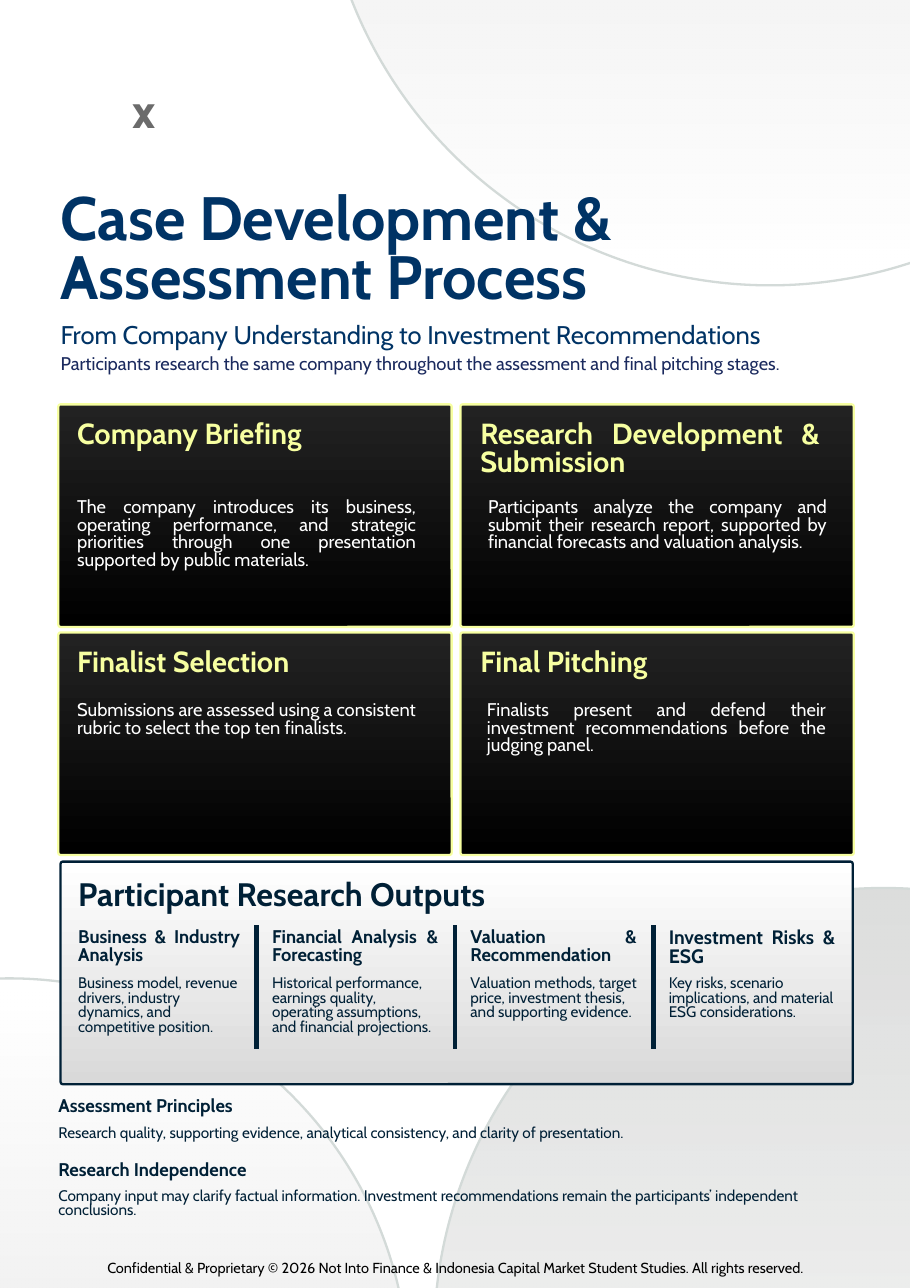
from dataclasses import dataclass

from lxml import etree
from pptx import Presentation
from pptx.dml.color import RGBColor
from pptx.enum.shapes import MSO_CONNECTOR, MSO_SHAPE
from pptx.enum.text import MSO_ANCHOR, MSO_AUTO_SIZE, PP_ALIGN
from pptx.oxml.ns import qn
from pptx.util import Inches, Pt

OVAL, ROUNDED = MSO_SHAPE.OVAL, MSO_SHAPE.ROUNDED_RECTANGLE
STRAIGHT = MSO_CONNECTOR.STRAIGHT
TOP = MSO_ANCHOR.TOP
FIT = MSO_AUTO_SIZE.SHAPE_TO_FIT_TEXT
LEFT, CENTER, JUSTIFY = PP_ALIGN.LEFT, PP_ALIGN.CENTER, PP_ALIGN.JUSTIFY


@dataclass(frozen=True)
class Theme:
    font: str = "Cabin"
    ring: str = "D3DAD8"
    circle: tuple = ("000908", "001614")
    card: tuple = ("222222", "000000")
    panel: tuple = ("FFFFFF", "D9D9D9")
    lime: str = "F7FFA1"
    navy: str = "002036"


T = Theme()

# Text styles: size and line spacing in points, colour, weight, alignment
STYLES = {
    "title": dict(size=40, line=38, color="003365", bold=True, align=LEFT),
    "mark": dict(size=31, line=28.5, color="6B6B6B", bold=True, align=CENTER),
    "subtitle": dict(size=16.7, line=20, color="003365", bold=False, align=LEFT),
    "intro": dict(size=12, line=14.4, color="1B2A5E", bold=False, align=LEFT),
    "card_head": dict(size=19, line=18.1, color=T.lime, bold=True, align=JUSTIFY),
    "card_body": dict(size=12, line=11.4, color="FFFFFF", bold=False, align=JUSTIFY),
    "panel_head": dict(size=21.2, line=20.2, color=T.navy, bold=True, align=JUSTIFY),
    "head": dict(size=12, line=11.4, color=T.navy, bold=True, align=JUSTIFY),
    "large_head": dict(size=12.7, line=12.1, color=T.navy, bold=True, align=JUSTIFY),
    "body": dict(size=10, line=9.5, color=T.navy, bold=False, align=LEFT),
    "footer": dict(size=9.5, line=13.3, color="000000", bold=False, align=CENTER),
}

# Left, top, diameter, opacity at the top and at the bottom in percent
CIRCLES = [
    (2.91, -5.57, 8.16, (14, 0)),
    (-3.54, 8.88, 7.25, (0, 14)),
    (3.94, 8.06, 8.16, (14, 0)),
]

# Heading, body, left of body
CARDS = [
    ("Company Briefing",
     "The company introduces its business, operating performance, and strategic "
     "priorities through one presentation supported by public materials.", 0.7),
    ("Research Development & Submission",
     "Participants analyze the company and submit their research report, supported "
     "by financial forecasts and valuation analysis.", 4.43),
    ("Finalist Selection",
     "Submissions are assessed using a consistent rubric to select the top ten "
     "finalists.", 0.7),
    ("Final Pitching",
     "Finalists present and defend their investment recommendations before the "
     "judging panel.", 4.42),
]

# Left, width, heading style, heading, body
OUTPUTS = [
    (0.71, 1.47, "head", "Business & Industry Analysis",
     "Business model, revenue drivers, industry dynamics, and competitive position."),
    (2.47, 1.51, "head", "Financial Analysis & Forecasting",
     "Historical performance, earnings quality, operating assumptions, and "
     "financial projections."),
    (4.27, 1.51, "head", "Valuation & Recommendation",
     "Valuation methods, target price, investment thesis, and supporting evidence."),
    (6.07, 1.51, "large_head", "Investment Risks & ESG",
     "Key risks, scenario implications, and material ESG considerations."),
]

# Heading top, body top, heading, body
NOTES = [
    (9.97, 10.23, "Assessment Principles",
     "Research quality, supporting evidence, analytical consistency, and clarity of "
     "presentation."),
    (10.55, 10.8, "Research Independence",
     "Company input may clarify factual information. Investment recommendations "
     "remain the participants’ independent conclusions."),
]


def rgb(color):
    return RGBColor.from_string(color)


def set_attrs(target, values):
    for name, value in values.items():
        setattr(target, name, value)


def write(sp, text, style):
    f = STYLES[style]
    tf = sp.text_frame
    set_attrs(tf, dict(word_wrap=True, auto_size=FIT, vertical_anchor=TOP,
                       margin_left=0, margin_top=0, margin_right=0, margin_bottom=0))
    p = tf.paragraphs[0]
    set_attrs(p, dict(alignment=f["align"], line_spacing=Pt(f["line"]),
                      space_before=Pt(0)))
    r = p.add_run()
    r.text = text
    set_attrs(r.font, dict(name=T.font, size=Pt(f["size"]), bold=f["bold"]))
    r.font.color.rgb = rgb(f["color"])


def add_text(s, x, y, w, h, text, style):
    sp = s.shapes.add_textbox(Inches(x), Inches(y), Inches(w), Inches(h))
    write(sp, text, style)


def add_title(s, x, y, w, h, text):
    sp = s.shapes.title
    set_attrs(sp, dict(left=Inches(x), top=Inches(y),
                       width=Inches(w), height=Inches(h)))
    write(sp, text, "title")
    s.shapes.element.append(sp.element)  # bring in front of the circles


def add_gradient_shape(s, kind, x, y, w, h, colors, line, opacity=(100, 100)):
    sp = s.shapes.add_shape(kind, Inches(x), Inches(y), Inches(w), Inches(h))
    sp.shadow.inherit = False
    sp.fill.gradient()
    sp.fill.gradient_angle = 270
    for stop, color in zip(sp.fill.gradient_stops, colors):
        stop.color.rgb = rgb(color)
    for clr, percent in zip(sp.element.spPr.iter(qn("a:srgbClr")), opacity):
        etree.SubElement(clr, qn("a:alpha"), val=str(percent * 1000))
    sp.line.color.rgb = rgb(line)
    sp.line.width = Pt(1.5)
    if kind == ROUNDED:
        sp.adjustments[0] = 0.01


def add_divider(s, x, top, bottom):
    c = s.shapes.add_connector(STRAIGHT, Inches(x), Inches(top),
                               Inches(x), Inches(bottom))
    c.line.color.rgb = rgb(T.navy)
    c.line.width = Pt(3)
    etree.SubElement(c.element.spPr, qn("a:effectLst"))


def add_card(s, index, head, body, body_x):
    row, col = divmod(index, 2)
    y = 3.67 + 2.07 * row
    add_gradient_shape(s, ROUNDED, 0.53 + 3.65 * col, y, 3.57, 2.02, T.card, T.lime)
    add_text(s, 0.7 + 3.66 * col, y + 0.17, 3.08, 0.27, head, "card_head")
    add_text(s, body_x, 4.54 + 1.84 * row, 3.08, 0.65, body, "card_body")


def main():
    prs = Presentation()
    prs.slide_width, prs.slide_height = Inches(8.26), Inches(11.69)
    s = prs.slides.add_slide(prs.slide_layouts[5])

    # Background circles
    for x, y, d, opacity in CIRCLES:
        add_gradient_shape(s, OVAL, x, y, d, d, T.circle, T.ring, opacity)

    # Header
    add_title(s, 0.55, 1.77, 6.89, 1.08, "Case Development & Assessment Process")
    add_text(s, 1.18, 0.86, 0.25, 0.42, "x", "mark")
    add_text(s, 0.55, 2.9, 7.2, 0.27,
             "From Company Understanding to Investment Recommendations", "subtitle")
    add_text(s, 0.55, 3.2, 7.2, 0.41,
             "Participants research the same company throughout the assessment and "
             "final pitching stages.", "intro")

    # Stage cards
    for index, card in enumerate(CARDS):
        add_card(s, index, *card)

    # Research outputs panel
    add_gradient_shape(s, ROUNDED, 0.55, 7.82, 7.19, 2.02, T.panel, T.navy)
    add_text(s, 0.71, 8.01, 5.08, 0.3, "Participant Research Outputs", "panel_head")
    for x, w, style, head, body in OUTPUTS:
        add_text(s, x, 8.44, w, 0.33, head, style)
        add_text(s, x, 8.87, w, 0.63, body, "body")
    for i in range(len(OUTPUTS) - 1):
        add_divider(s, 2.33 + 1.8 * i, 8.4, 9.52)

    # Closing notes and footer
    for head_y, body_y, head, body in NOTES:
        add_text(s, 0.53, head_y, 2.16, 0.18, head, "head")
        add_text(s, 0.53, body_y, 7.21, 0.25, body, "body")
    add_text(s, 0.53, 11.4, 7.21, 0.18,
             "Confidential & Proprietary © 2026 Not Into Finance & Indonesia Capital "
             "Market Student Studies. All rights reserved.", "footer")

    prs.save("out.pptx")


if __name__ == "__main__":
    main()
